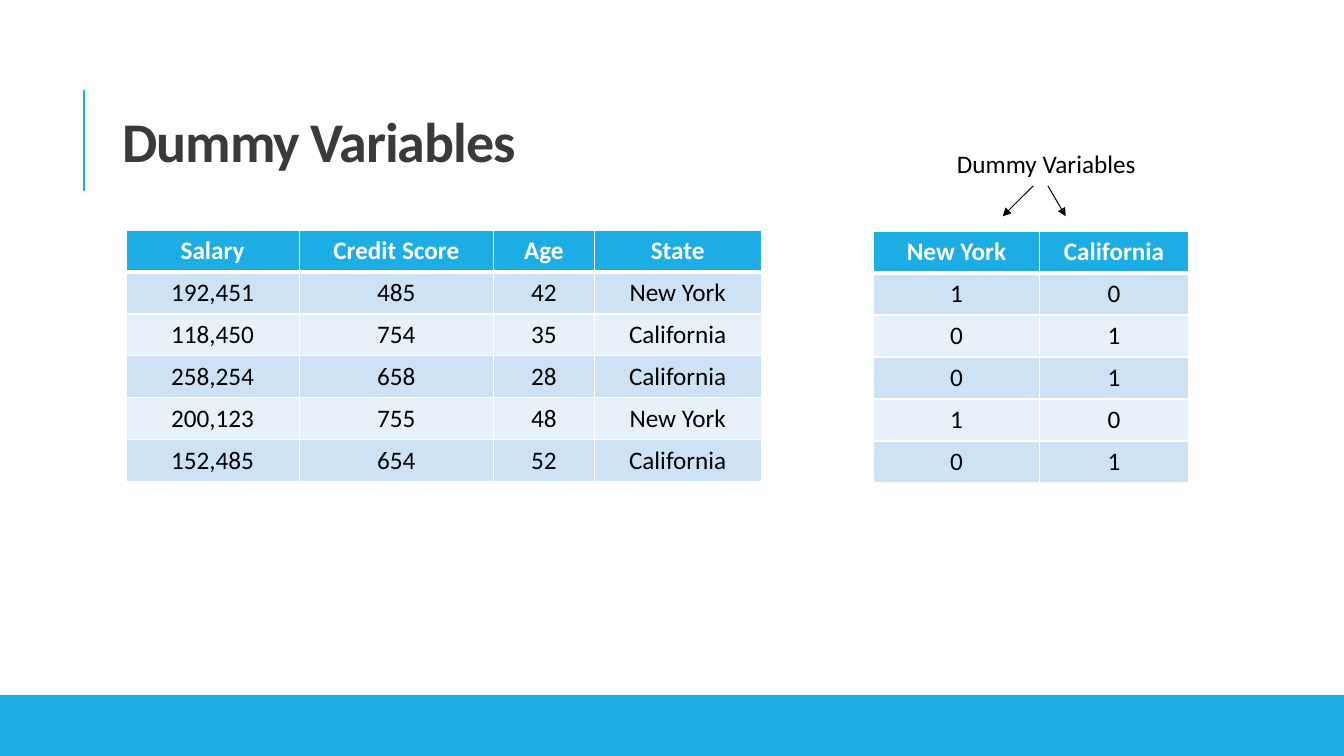
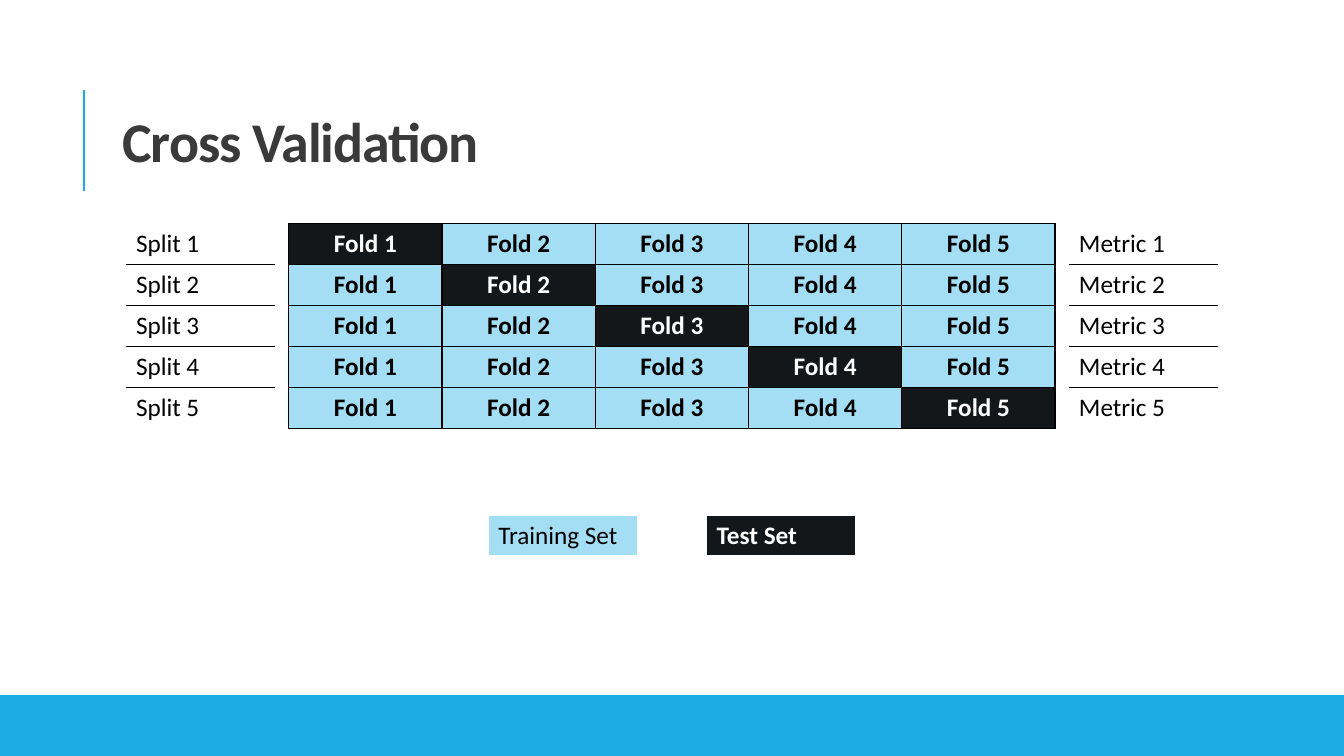
"""Build two slides, on dummy variables and on cross validation."""
from typing import Any, NamedTuple

from lxml import etree
from pptx import Presentation
from pptx import util as u
from pptx.dml import color as c
from pptx.enum import shapes, text
from pptx.oxml import ns

PX = 9525
HUES = {
    "blue": "1CADE4", "band": "CDE3F5", "pale": "E8F1FA", "train": "A4DEF4",
    "test": "141719", "title": "3A3A3A", "black": "000000", "white": "FFFFFF",
}
BODY = {"name": "Calibri", "size": u.Pt(18), "bold": False}
BOLD = {**BODY, "bold": True}
HEAD = {**BOLD, "size": u.Pt(40)}
PLAIN = {"first_row": False, "horz_banding": False}
MID = {"vertical_anchor": text.MSO_ANCHOR.MIDDLE}
LEFT, MID_X = text.PP_ALIGN.LEFT, text.PP_ALIGN.CENTER
Edges = dict[str, tuple[str, int]]


class Cell(NamedTuple):
    """Text and look of one table cell."""
    words: str
    fill: str | None
    ink: str
    font: dict[str, Any]
    align: text.PP_ALIGN
    edges: Edges


class Grid(NamedTuple):
    """Place, column widths, row height and cells of one table."""
    left: int
    top: int
    cols: list[int]
    high: int
    rows: list[list[Cell]]


class Line(NamedTuple):
    """Ends and look of one line."""
    x1: int
    y1: int
    x2: int
    y2: int
    hue: str
    width: float
    arrow: bool = False


def px(*nums: int) -> list[u.Emu]:
    """Turn px into EMU."""
    return [u.Emu(n * PX) for n in nums]


def rgb(hue: str) -> c.RGBColor:
    """Look up a named colour."""
    return c.RGBColor.from_string(HUES[hue])


def apply(item: Any, form: dict[str, Any]) -> None:
    """Set each format value on an item."""
    for key, val in form.items():
        setattr(item, key, val)


def write(frame: Any, words: str, ink: str, font: dict[str, Any]) -> Any:
    """Fill a text frame with one run and return its paragraph."""
    para = frame.paragraphs[0]
    run = para.add_run()
    run.text = words
    apply(run.font, font)
    run.font.color.rgb = rgb(ink)
    return para


def add_text(slide: Any, box: tuple[int, ...], words: str, ink: str,
             font: dict[str, Any]) -> Any:
    """Add a wrapped text box and return its paragraph."""
    frame = slide.shapes.add_textbox(*px(*box)).text_frame
    apply(frame, {"word_wrap": True, **MID})
    return write(frame, words, ink, font)


def add_line(slide: Any, line: Line) -> None:
    """Draw a line, with an arrowhead if asked."""
    ends = px(line.x1, line.y1, line.x2, line.y2)
    link = slide.shapes.add_connector(shapes.MSO_CONNECTOR.STRAIGHT, *ends)
    link.line.color.rgb = rgb(line.hue)
    link.line.width = u.Pt(line.width)
    props = link.line._get_or_add_ln()
    if line.arrow:
        etree.SubElement(props, ns.qn("a:tailEnd"), type="triangle")
    etree.SubElement(link._element.spPr, ns.qn("a:effectLst"))


def add_edges(cell: Any, edges: Edges) -> None:
    """Set the four borders of a table cell."""
    props = cell._tc.get_or_add_tcPr()
    for side in "LRTB":
        hue, wide = edges.get(side, ("", 0))
        edge = etree.SubElement(props, ns.qn(f"a:ln{side}"), w=str(u.Pt(wide)))
        if hue:
            fill = etree.SubElement(edge, ns.qn("a:solidFill"))
            etree.SubElement(fill, ns.qn("a:srgbClr"), val=HUES[hue])
        else:
            etree.SubElement(edge, ns.qn("a:noFill"))


def add_grid(slide: Any, grid: Grid) -> None:
    """Draw a table."""
    count = len(grid.rows)
    box = px(grid.left, grid.top, sum(grid.cols), grid.high * count)
    table = slide.shapes.add_table(count, len(grid.cols), *box).table
    apply(table, PLAIN)
    for col, wide in zip(table.columns, grid.cols):
        col.width = u.Emu(wide * PX)
    for row, cells in zip(table.rows, grid.rows):
        row.height = u.Emu(grid.high * PX)
        for cell, look in zip(row.cells, cells):
            apply(cell, MID)
            add_edges(cell, look.edges)
            if look.fill:
                cell.fill.solid()
                cell.fill.fore_color.rgb = rgb(look.fill)
            else:
                cell.fill.background()
            para = write(cell.text_frame, look.words, look.ink, look.font)
            para.alignment = look.align


def box_edges(hue: str, **wide: int) -> Edges:
    """Give all sides one colour, 1 pt wide unless named."""
    return {side: (hue, wide.get(side, 1)) for side in "LRTB"}


def data_rows(rows: list[list[str]]) -> list[list[Cell]]:
    """Style a header row and banded rows."""
    top = box_edges("white", B=3)
    cells = [[Cell(w, "blue", "white", BOLD, MID_X, top) for w in rows[0]]]
    for i, row in enumerate(rows[1:]):
        edges = box_edges("white", T=1 if i else 3)
        fill = "pale" if i % 2 else "band"
        cells.append([Cell(w, fill, "black", BODY, MID_X, edges) for w in row])
    return cells


def fold_rows(count: int) -> list[list[Cell]]:
    """Style the folds, with the test set on the diagonal."""
    looks = {True: ("test", "white"), False: ("train", "black")}
    return [[Cell(f"Fold {j + 1}", *looks[i == j], BOLD, MID_X,
                  box_edges("black")) for j in range(count)]
            for i in range(count)]


def list_rows(name: str, count: int) -> list[list[Cell]]:
    """Style a numbered list with lines between its rows."""
    rows = []
    for i in range(count):
        sides = "T" * (i > 0) + "B" * (i < count - 1)
        edges = {side: ("black", 1) for side in sides}
        rows.append([Cell(f"{name} {i + 1}", None, "black", BODY, LEFT, edges)])
    return rows


def add_slide(deck: Any, title: str) -> Any:
    """Add a slide with its side line, bottom band and title."""
    slide = deck.slides.add_slide(deck.slide_layouts[6])
    add_line(slide, Line(80, 182, 80, 86, "blue", 1.5))
    band = slide.shapes.add_shape(shapes.MSO_SHAPE.RECTANGLE,
                                  *px(0, 662, 1280, 58))
    band.shadow.inherit = False
    band.fill.solid()
    band.fill.fore_color.rgb = rgb("blue")
    band.line.fill.background()
    para = add_text(slide, (107, 61, 1020, 157), title, "title", HEAD)
    para.line_spacing = 0.8
    para.runs[0]._r.get_or_add_rPr().set("spc", "-70")
    return slide


def add_dummy(deck: Any) -> None:
    """Add the slide on dummy variables."""
    slide = add_slide(deck, "Dummy Variables")
    states = ["New York", "California"]
    people = [
        ["192,451", "485", "42", "New York"],
        ["118,450", "754", "35", "California"],
        ["258,254", "658", "28", "California"],
        ["200,123", "755", "48", "New York"],
        ["152,485", "654", "52", "California"],
    ]
    heads = ["Salary", "Credit Score", "Age", "State"]
    flags = [[str(int(row[-1] == state)) for state in states] for row in people]
    add_grid(slide, Grid(120, 219, [165, 185, 96, 159], 40,
                         data_rows([heads, *people])))
    add_grid(slide, Grid(832, 220, [158, 142], 40,
                         data_rows([states, *flags])))
    add_text(slide, (902, 137, 229, 38), "Dummy Variables", "black", BODY)
    for start, end in ((984, 955), (998, 1015)):
        add_line(slide, Line(start, 177, end, 206, "black", 0.75, True))


def add_cross(deck: Any) -> None:
    """Add the slide on cross validation."""
    slide = add_slide(deck, "Cross Validation")
    count, top, high, wide = 5, 213, 39, 142
    add_grid(slide, Grid(275, top, [146] * count, high, fold_rows(count)))
    for left, name in ((120, "Split"), (1018, "Metric")):
        add_grid(slide, Grid(left, top, [wide], high, list_rows(name, count)))
    edges = box_edges("white", B=3)
    keys = [
        (465, Cell("Training Set", "train", "black", BODY, LEFT, edges)),
        (673, Cell("Test Set", "test", "white", BOLD, LEFT, edges)),
    ]
    for left, cell in keys:
        add_grid(slide, Grid(left, 491, [wide], high, [[cell]]))


def main() -> None:
    """Build and save the deck."""
    deck = Presentation()
    deck.slide_width, deck.slide_height = px(1280, 720)
    add_dummy(deck)
    add_cross(deck)
    deck.save("out.pptx")


if __name__ == "__main__":
    main()
